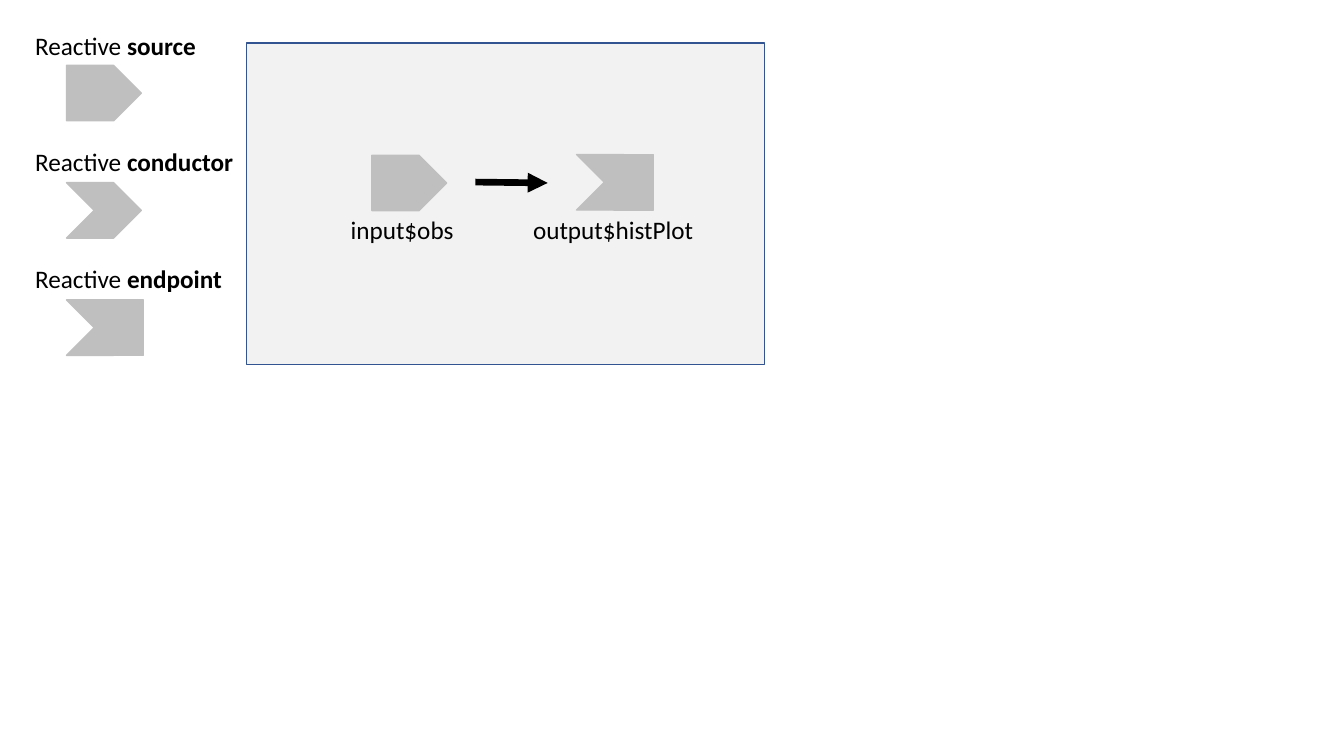
import pptx
import pptx.util
import pptx.dml.color
import pptx.enum.shapes
import pptx.enum.text
import pptx.oxml

SHAPES = pptx.enum.shapes.MSO_SHAPE

deck = pptx.Presentation()
deck.slide_width = pptx.util.Inches(13.33)
deck.slide_height = pptx.util.Inches(7.5)
column = deck.slide_width / 80
row = deck.slide_height / 45
slide = deck.slides.add_slide(deck.slide_layouts[6])


def rgb(color):
    return pptx.dml.color.RGBColor.from_string(color)


def add_block(parent, kind, left, top, width, height, fill, outline):
    block = parent.add_shape(kind, round(left * column), round(top * row),
                             round(width * column), round(height * row))
    block.shadow.inherit = False
    block.fill.solid()
    block.fill.fore_color.rgb = rgb(fill)
    block.line.color.rgb = rgb(outline)
    block.line.width = pptx.util.Pt(1)


add_block(slide.shapes, SHAPES.RECTANGLE, 14.66, 2.56, 30.84, 19.14, "F2F2F2", "325491")

legend_left, legend_top, legend_step = 3.96, 3.89, 6.98
symbols = [
    ("source", legend_left, legend_top),
    ("conductor", legend_left, legend_top + legend_step),
    ("endpoint", legend_left, legend_top + 2 * legend_step),
    ("source", 22.14, 9.24),
    ("endpoint", 34.32, 9.2),
]
for role, left, top in symbols:
    parent = slide.shapes.add_group_shape().shapes if role == "endpoint" else slide.shapes
    outline_kind = SHAPES.PENTAGON if role == "source" else SHAPES.CHEVRON
    add_block(parent, outline_kind, left, top, 4.45, 3.3, "BFBFBF", "BFBFBF")
    if role == "endpoint":
        add_block(parent, SHAPES.RECTANGLE, left + 2.24, top, 2.33, 3.3, "BFBFBF", "BFBFBF")

labels = [
    (["Reactive ", "source"], 1.5, 1.48, 10.86),
    (["Reactive ", "conductor"], 1.5, 8.43, 13.08),
    (["Reactive ", "endpoint"], 1.5, 15.38, 12.42),
    (["input$obs"], 20.28, 12.48, 7.44),
    (["output$histPlot"], 31.14, 12.48, 10.86),
]
for words, left, top, width in labels:
    label = slide.shapes.add_textbox(round(left * column), round(top * row),
                                     round(width * column), round(2.42 * row))
    label.text_frame.word_wrap = False
    label.text_frame.auto_size = pptx.enum.text.MSO_AUTO_SIZE.SHAPE_TO_FIT_TEXT
    for position, word in enumerate(words):
        run = label.text_frame.paragraphs[0].add_run()
        run.text = word
        run.font.name = "Calibri"
        run.font.size = pptx.util.Pt(18)
        run.font.bold = position == 1
        run.font.color.rgb = rgb("000000")

dependency = slide.shapes.add_connector(
    pptx.enum.shapes.MSO_CONNECTOR.STRAIGHT,
    round(28.3 * column), round(10.84 * row), round(32.6 * column), round(10.89 * row))
dependency.line.color.rgb = rgb("000000")
dependency.line.width = pptx.util.Pt(4.75)
namespace = 'xmlns:a="http://schemas.openxmlformats.org/drawingml/2006/main"'
dependency.line._get_or_add_ln().append(
    pptx.oxml.parse_xml(f'<a:tailEnd {namespace} type="triangle"/>'))
dependency._element.spPr.append(pptx.oxml.parse_xml(f'<a:effectLst {namespace}/>'))

deck.save("out.pptx")
